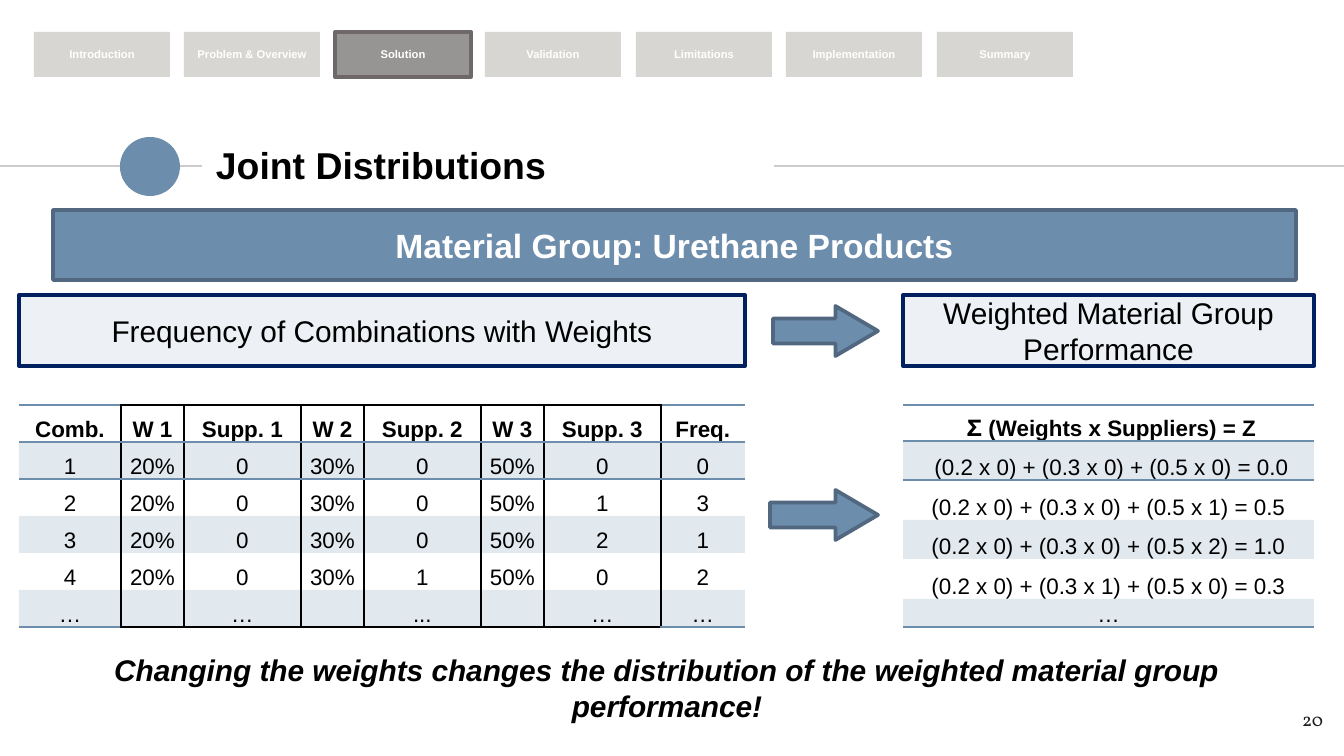
from dataclasses import dataclass
from typing import NamedTuple, Optional

from lxml.etree import SubElement
from pptx import Presentation
from pptx.dml.color import RGBColor
from pptx.enum.shapes import MSO_CONNECTOR, MSO_SHAPE
from pptx.enum.text import MSO_ANCHOR, PP_ALIGN
from pptx.oxml.ns import qn
from pptx.util import Emu, Pt

SLIDE_WIDTH, SLIDE_HEIGHT = 1344, 756
EMU_PER_PX = 9144000 / SLIDE_WIDTH
PLAIN_TABLE_STYLE = "{2D5ABB26-0587-4C30-8999-92F81FD0307C}"


@dataclass(frozen=True)
class Theme:
    font: str = "Arial"
    number_font: str = "Vollkorn"
    black: str = "000000"
    white: str = "FFFFFF"
    ink: str = "1D1D1B"
    blue: str = "6D8DAD"
    blue_edge: str = "516880"
    pale_blue: str = "A7BBCE"
    navy: str = "002060"
    rule: str = "CCCCCC"
    tab: str = "D8D6D2"
    active_tab: str = "979593"
    active_edge: str = "6F6868"
    tint: int = 20
    title_size: int = 20
    banner_size: int = 18
    heading_size: int = 16
    table_size: int = 12
    number_size: int = 10
    tab_size: int = 6
    edge_width: int = 2
    border_width: int = 1


THEME = Theme()


class Box(NamedTuple):
    left: int
    top: int
    width: int
    height: int


@dataclass(frozen=True)
class Panel:
    box: Box
    fill: str
    edge: Optional[str] = None
    text: str = ""
    size: int = THEME.heading_size
    color: str = THEME.black
    bold: bool = False
    kind: MSO_SHAPE = MSO_SHAPE.RECTANGLE
    opacity: int = 100


@dataclass(frozen=True)
class Grid:
    left: int
    top: int
    columns: list[int]
    heights: list[int]
    rows: list[list[str]]


def px(length: float) -> Emu:
    return Emu(round(length * EMU_PER_PX))


def place(box: Box) -> list[Emu]:
    return [px(length) for length in box]


def rgb(color: str) -> RGBColor:
    return RGBColor.from_string(color)


def write_text(frame, text: str, *, size: int, color: str = THEME.black, font: str = THEME.font,
               bold: bool = False, italic: bool = False, align=PP_ALIGN.CENTER) -> None:
    paragraph = frame.paragraphs[0]
    paragraph.alignment = align
    if not text:
        SubElement(paragraph._p, qn("a:endParaRPr"), sz=str(size * 100))
        return
    run = paragraph.add_run()
    run.text = text
    run.font.name, run.font.size = font, Pt(size)
    run.font.bold, run.font.italic = bold, italic
    run.font.color.rgb = rgb(color)


def set_frame(frame, inset: int, anchor) -> None:
    frame.word_wrap = True
    frame.vertical_anchor = anchor
    frame.margin_left = frame.margin_right = px(inset)
    frame.margin_top = frame.margin_bottom = px(inset)


def paint(fill, properties, color: str, opacity: int = 100) -> None:
    fill.solid()
    fill.fore_color.rgb = rgb(color)
    if opacity < 100:
        swatch = properties.find(qn("a:solidFill"))[0]
        SubElement(swatch, qn("a:alpha"), val=str(opacity * 1000))


def add_panel(slide, panel: Panel) -> None:
    shape = slide.shapes.add_shape(panel.kind, *place(panel.box))
    shape.shadow.inherit = False
    paint(shape.fill, shape._element.spPr, panel.fill, panel.opacity)
    if panel.edge:
        shape.line.color.rgb = rgb(panel.edge)
        shape.line.width = Pt(THEME.edge_width)
    else:
        shape.line.fill.background()
    if panel.kind == MSO_SHAPE.RIGHT_ARROW:
        shape.adjustments[1] = 0.85
    if panel.text:
        set_frame(shape.text_frame, 6, MSO_ANCHOR.MIDDLE)
        write_text(shape.text_frame, panel.text, size=panel.size, color=panel.color, bold=panel.bold)


def add_label(slide, box: Box, text: str, *, inset: int = 13, anchor=MSO_ANCHOR.TOP, **style) -> None:
    frame = slide.shapes.add_textbox(*place(box)).text_frame
    set_frame(frame, inset, anchor)
    write_text(frame, text, **style)


def add_rule(slide, start: int, end: int, height: int) -> None:
    line = slide.shapes.add_connector(MSO_CONNECTOR.STRAIGHT, px(start), px(height), px(end), px(height))
    line.line.color.rgb = rgb(THEME.rule)
    line.line.width = Pt(0.75)
    SubElement(line._element.spPr, qn("a:effectLst"))


def set_borders(cell, borders: dict[str, str]) -> None:
    properties = cell._tc.get_or_add_tcPr()
    for position, side in enumerate(side for side in "LRTB" if side in borders):
        line = SubElement(properties, qn(f"a:ln{side}"), w=str(Pt(THEME.border_width)))
        SubElement(SubElement(line, qn("a:solidFill")), qn("a:srgbClr"), val=borders[side])
        properties.insert(position, line)


def add_grid(slide, grid: Grid) -> None:
    box = Box(grid.left, grid.top, sum(grid.columns), sum(grid.heights))
    table = slide.shapes.add_table(len(grid.rows), len(grid.columns), *place(box)).table
    table.first_row = table.horz_banding = False
    table._tbl.tblPr.find(qn("a:tableStyleId")).text = PLAIN_TABLE_STYLE
    for column, width in zip(table.columns, grid.columns):
        column.width = px(width)
    last_row, last_column = len(grid.rows) - 1, len(grid.columns) - 1
    for i, (texts, height) in enumerate(zip(grid.rows, grid.heights)):
        table.rows[i].height = px(height)
        for j, text in enumerate(texts):
            cell = table.cell(i, j)
            cell.vertical_anchor = MSO_ANCHOR.BOTTOM
            cell.margin_left = cell.margin_right = cell.margin_top = px(1)
            cell.margin_bottom = 0
            write_text(cell.text_frame, text, size=THEME.table_size, bold=i == 0)
            if i % 2:
                paint(cell.fill, cell._tc.get_or_add_tcPr(), THEME.blue, THEME.tint)
            else:
                cell.fill.background()
            # Black frames the inner columns, blue the outer ones
            outline = THEME.black if 0 < j < last_column else THEME.blue
            borders = {}
            if j > 0:
                borders["L"] = THEME.black
            if j < last_column:
                borders["R"] = THEME.black
            if i == 0:
                borders.update(T=outline, B=THEME.blue)
            if i == 1:
                borders["T"] = THEME.blue
            if i == last_row:
                borders["B"] = outline
            set_borders(cell, borders)


def combination(number: int, suppliers: tuple[int, int, int], frequency: int) -> list[str]:
    weighted = [text for weight, count in zip((20, 30, 50), suppliers) for text in (f"{weight}%", str(count))]
    return [str(number), *weighted, str(frequency)]


TABS = ["Introduction", "Problem & Overview", "Solution", "Validation",
        "Limitations", "Implementation", "Summary"]
COMBINATIONS = Grid(19, 405, [102, *[63, 117] * 3, 84], [37] * 6, [
    ["Comb.", "W 1", "Supp. 1", "W 2", "Supp. 2", "W 3", "Supp. 3", "Freq."],
    combination(1, (0, 0, 0), 0),
    combination(2, (0, 0, 1), 3),
    combination(3, (0, 0, 2), 1),
    combination(4, (0, 1, 0), 2),
    ["…", "", "…", "", "...", "", "…", "…"],
])
PERFORMANCE = Grid(903, 405, [411], [36, 39, 40, 39, 40, 28], [[text] for text in (
    " 𝚺 (Weights x Suppliers) = Z",
    " (0.2 x 0) + (0.3 x 0) + (0.5 x 0) = 0.0",
    "(0.2 x 0) + (0.3 x 0) + (0.5 x 1) = 0.5",
    "(0.2 x 0) + (0.3 x 0) + (0.5 x 2) = 1.0",
    "(0.2 x 0) + (0.3 x 1) + (0.5 x 0) = 0.3",
    "…",
)])


def main() -> None:
    presentation = Presentation()
    presentation.slide_width, presentation.slide_height = px(SLIDE_WIDTH), px(SLIDE_HEIGHT)
    slide = presentation.slides.add_slide(presentation.slide_layouts[6])

    # Title row
    add_rule(slide, 0, 202, 166)
    add_panel(slide, Panel(Box(120, 137, 60, 59), THEME.blue, kind=MSO_SHAPE.OVAL))
    add_rule(slide, 774, SLIDE_WIDTH, 166)
    add_label(slide, Box(203, 132, 570, 65), "Joint Distributions", anchor=MSO_ANCHOR.MIDDLE,
              size=THEME.title_size, bold=True, align=PP_ALIGN.LEFT)

    # Section tabs
    for index, name in enumerate(TABS):
        active = name == "Solution"
        add_panel(slide, Panel(Box(34 + index * 903 // 6, 32, 136, 45),
                               THEME.active_tab if active else THEME.tab,
                               THEME.active_edge if active else None,
                               name, THEME.tab_size, THEME.white, True))

    # Banner and headings
    add_panel(slide, Panel(Box(53, 210, 1243, 70), THEME.blue, THEME.blue_edge,
                           "Material Group: Urethane Products", THEME.banner_size, THEME.white, True))
    for left, width, text in ((19, 726, "Frequency of Combinations with Weights"),
                              (903, 411, "Weighted Material Group Performance")):
        add_panel(slide, Panel(Box(left, 295, width, 71), THEME.pale_blue, THEME.navy, text,
                               opacity=THEME.tint))

    # Tables and the arrows between them
    add_grid(slide, COMBINATIONS)
    add_grid(slide, PERFORMANCE)
    for box in (Box(773, 306, 105, 50), Box(770, 490, 108, 50)):
        add_panel(slide, Panel(box, THEME.blue, THEME.blue_edge, kind=MSO_SHAPE.RIGHT_ARROW))

    # Conclusion and page number
    add_label(slide, Box(8, 645, 1318, 86),
              "Changing the weights changes the distribution of the weighted material group performance!",
              inset=7, size=THEME.heading_size, bold=True, italic=True)
    add_label(slide, Box(1255, 697, 81, 58), "20", size=THEME.number_size, color=THEME.ink,
              font=THEME.number_font, align=PP_ALIGN.RIGHT)

    presentation.save("out.pptx")


if __name__ == "__main__":
    main()
